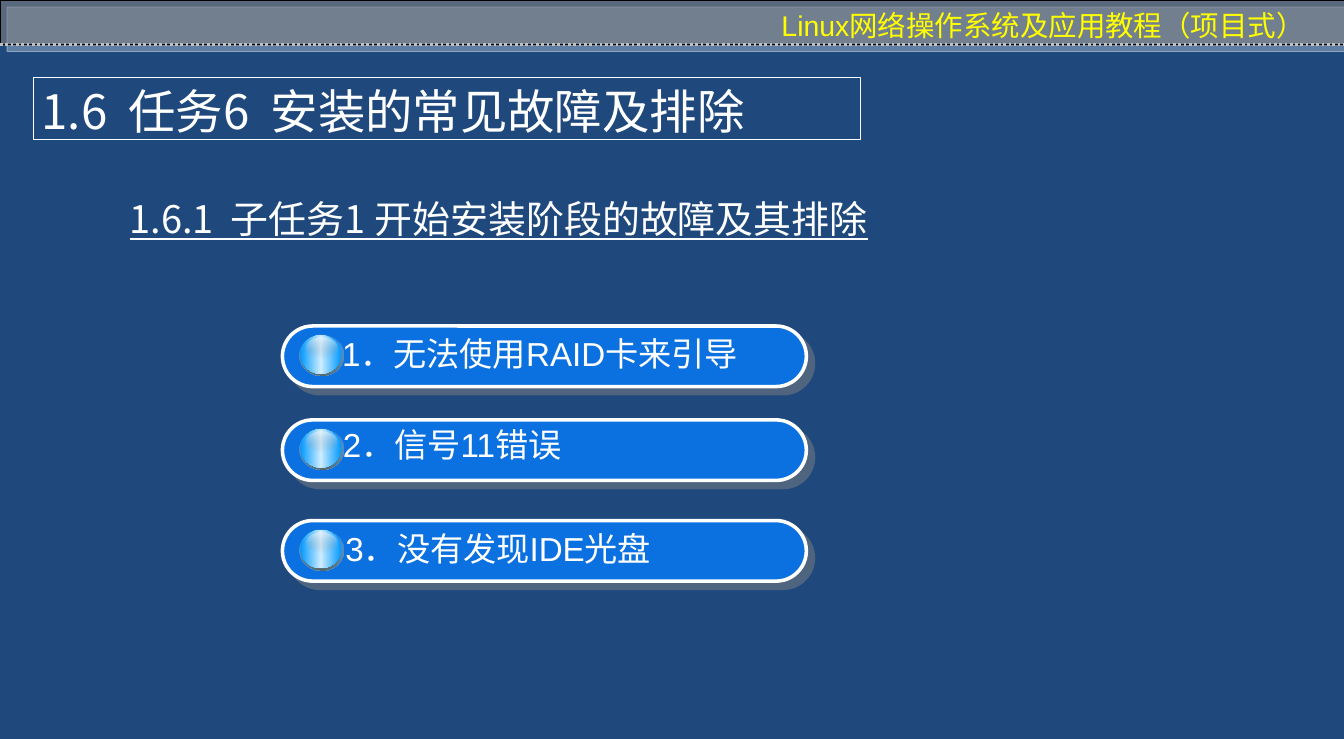
from pptx import Presentation
from pptx.dml.color import RGBColor
from pptx.enum import dml, shapes, text
from pptx.oxml import parse_xml
from pptx.oxml.ns import nsdecls, qn
from pptx.util import Inches, Pt

ARIAL, NOTO = "Arial", "Noto Sans CJK SC"
WHITE = "FFFFFF"
HEADER = "Linux网络操作系统及应用教程（项目式）"
TITLE = "1.6  任务6  安装的常见故障及排除"
SUBTITLE = "1.6.1  子任务1 开始安装阶段的故障及其排除"
# text, pill top, text left, text top
FAULTS = [
    ("1．无法使用RAID卡来引导", 3.82, 3.91, 3.86),
    ("2．信号11错误", 4.92, 3.92, 4.92),
    ("3．没有发现IDE光盘", 6.1, 3.95, 6.14),
]
# left, offset from pill top, width, height, angle, stops (position, colour, opacity)
BALL_LAYERS = [
    (3.51, 0.1, 0.51, 0.48, 90, [(0, "BBE0E3", 8), (100, "576869", 100)]),
    (3.52, 0.11, 0.48, 0.45, 0,
     [(0, "0099FF", 100), (50, "CCECFF", 100), (100, "0099FF", 100)]),
    (3.59, 0.14, 0.35, 0.23, 90, [(0, WHITE, 50), (100, "767676", 0)]),
]


def rgb(color):
    return RGBColor.from_string(color)


def color_xml(color, opacity):
    return (f'<a:srgbClr {nsdecls("a")} val="{color}">'
            f'<a:alpha val="{opacity * 1000}"/></a:srgbClr>')


def add_shape(parent, kind, box, fill=None, line=None, line_width=0.75):
    shape = parent.add_shape(kind, *map(Inches, box))
    shape.shadow.inherit = False
    if fill:
        shape.fill.solid()
        shape.fill.fore_color.rgb = rgb(fill)
    else:
        shape.fill.background()
    if line:
        shape.line.color.rgb = rgb(line)
        shape.line.width = Pt(line_width)
    else:
        shape.line.fill.background()
    return shape


def add_shadow(shape, color):
    effects = shape._element.spPr.find(qn("a:effectLst"))
    effects.append(parse_xml(
        f'<a:outerShdw {nsdecls("a")} blurRad="0" dist="{Pt(8.5)}" dir="2700000" '
        f'algn="ctr" rotWithShape="0">{color_xml(color, 50)}</a:outerShdw>'))


def set_gradient(shape, angle, stops):
    """Replace the fill by a linear gradient whose stops may be transparent."""
    stop_list = "".join(f'<a:gs pos="{position * 1000}">{color_xml(color, opacity)}</a:gs>'
                        for position, color, opacity in stops)
    properties = shape._element.spPr
    properties.replace(properties.find(qn("a:noFill")), parse_xml(
        f'<a:gradFill {nsdecls("a")}><a:gsLst>{stop_list}</a:gsLst>'
        f'<a:lin ang="{angle * 60000}" scaled="0"/></a:gradFill>'))


def write(shape, content, size, font_name, color=WHITE, underline=False,
          anchor=text.MSO_ANCHOR.TOP, bottom=0):
    frame = shape.text_frame
    frame.text = content
    frame.word_wrap = True
    frame.vertical_anchor = anchor
    frame.margin_bottom = Inches(bottom)
    paragraph = frame.paragraphs[0]
    paragraph.alignment = text.PP_ALIGN.LEFT
    for run in paragraph.runs:
        run.font.size = Pt(size)
        run.font.name = font_name
        run.font.color.rgb = rgb(color)
        if underline:
            run.font.underline = True
        run.font._element.find(qn("a:latin")).addnext(
            parse_xml(f'<a:ea {nsdecls("a")} typeface="{NOTO}"/>'))


def add_text(parent, box, *args, **kwargs):
    write(parent.add_textbox(*map(Inches, box)), *args, **kwargs)


def add_header(slide):
    band = add_shape(slide.shapes, shapes.MSO_SHAPE.RECTANGLE, (0, 0, 15.75, 0.52),
                     "808080", "000000")
    fill_color = band._element.spPr.find(qn("a:solidFill"))[0]
    fill_color.append(parse_xml(f'<a:alpha {nsdecls("a")} val="59000"/>'))
    add_shadow(band, WHITE)
    add_text(slide.shapes, (9.06, 0.05, 6.6, 0.5), HEADER, 24, ARIAL, "FFFF00", bottom=0.05)
    rule = slide.shapes.add_connector(shapes.MSO_CONNECTOR.STRAIGHT, 0, Inches(0.52),
                                      Inches(15.75), Inches(0.52))
    rule.line.color.rgb = rgb("C0C0C0")
    rule.line.width = Pt(2.25)
    rule.line.dash_style = dml.MSO_LINE.ROUND_DOT
    rule._element.spPr.append(parse_xml(f'<a:effectLst {nsdecls("a")}/>'))


def add_fault(slide, content, top, text_left, text_top):
    parent = slide.shapes.add_group_shape().shapes
    pill = add_shape(parent, shapes.MSO_SHAPE.ROUNDED_RECTANGLE, (3.31, top, 6.14, 0.71),
                     "0C71E0", WHITE, 3)
    pill.adjustments[0] = 0.5
    add_shadow(pill, "808080")
    for left, offset, width, height, angle, stops in BALL_LAYERS:
        layer = add_shape(parent, shapes.MSO_SHAPE.OVAL, (left, top + offset, width, height))
        set_gradient(layer, angle, stops)
    add_text(parent, (text_left, text_top, 5.4, 0.61), content, 28, ARIAL)


def main():
    presentation = Presentation()
    presentation.slide_width, presentation.slide_height = Inches(15.75), Inches(8.66)
    slide = presentation.slides.add_slide(presentation.slide_layouts[6])
    slide.background.fill.solid()
    slide.background.fill.fore_color.rgb = rgb("1F497D")

    add_header(slide)
    title = add_shape(slide.shapes, shapes.MSO_SHAPE.RECTANGLE, (0.39, 0.91, 9.69, 0.72),
                      line=WHITE)
    write(title, TITLE, 40, NOTO, anchor=text.MSO_ANCHOR.MIDDLE)
    add_text(slide.shapes, (1.42, 2.24, 10.08, 0.69), SUBTITLE, 32, NOTO, underline=True)
    for fault in FAULTS:
        add_fault(slide, *fault)
    presentation.save("out.pptx")


if __name__ == "__main__":
    main()
